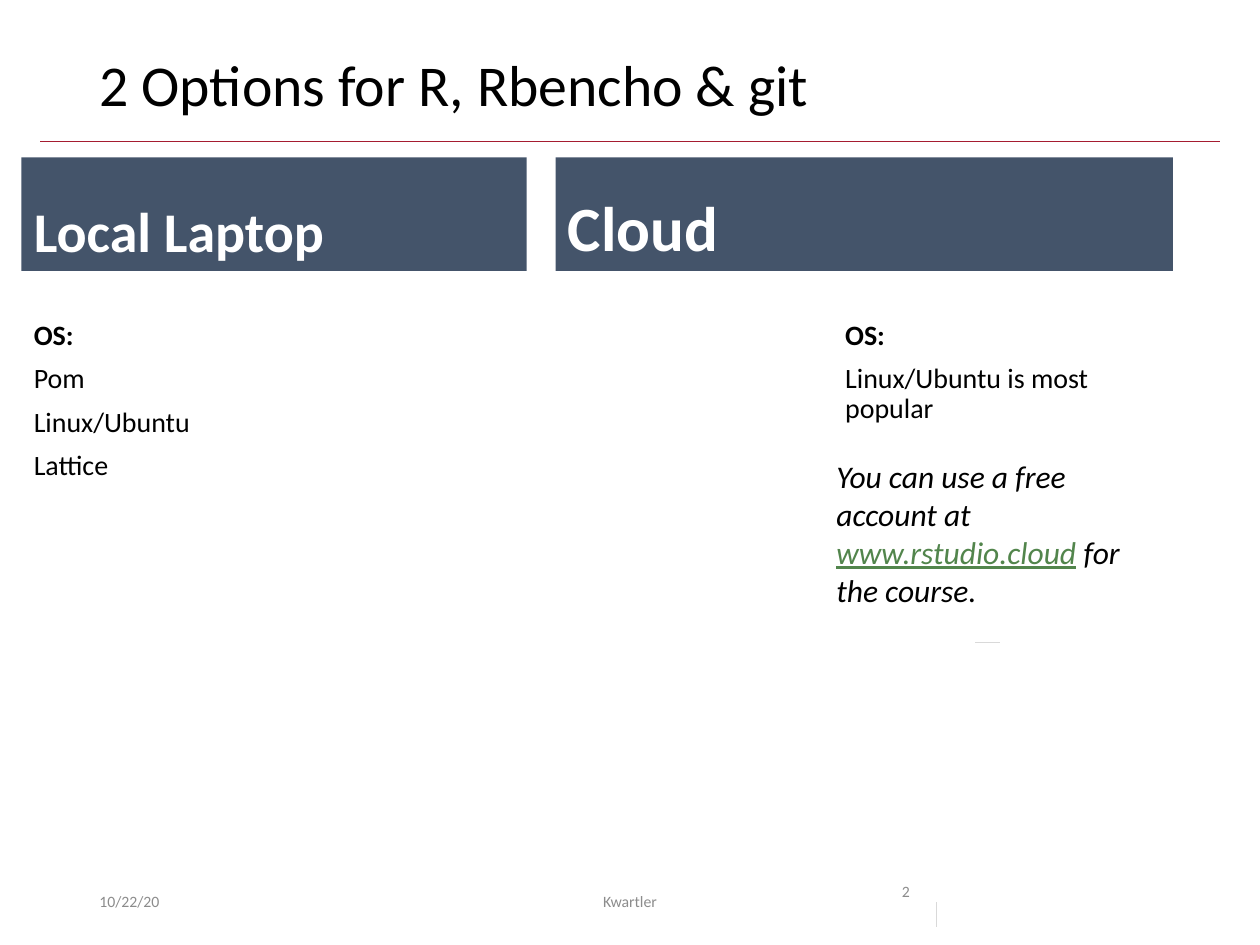
from dataclasses import dataclass

from lxml.etree import SubElement
from pptx import Presentation
from pptx.dml.color import RGBColor as Rgb
from pptx.enum.shapes import MSO_CONNECTOR as Connector, MSO_SHAPE as Shape
from pptx.enum.text import MSO_ANCHOR as Anchor, PP_ALIGN as Align
from pptx.oxml.ns import qn
from pptx.util import Inches, Pt


@dataclass(frozen=True)
class Theme:
    font: str = "Calibri"
    ink: str = "000000"
    white: str = "FFFFFF"
    banner: str = "44546A"
    muted: str = "8C8C8C"
    link: str = "52854C"
    rule: str = "A51C30"
    tick: str = "D9D9D9"
    title: int = 33
    local: int = 32
    cloud: int = 36
    note: int = 18
    body: int = 16
    footer: int = 9


class SlideBuilder:
    def __init__(self, slide, theme):
        self.slide = slide
        self.theme = theme

    def span(self, para, text, size, color, bold=False, italic=False, underline=False):
        span = para.add_run()
        span.text = text
        font = span.font
        font.name, font.size = self.theme.font, Pt(size)
        font.bold, font.italic, font.underline = bold, italic, underline
        font.color.rgb = Rgb.from_string(color)

    def text(self, place, size, color, text=None, anchor=Anchor.TOP, align=Align.LEFT, spacing=1.0):
        box = self.slide.shapes.add_textbox(*map(Inches, place))
        frame = box.text_frame
        frame.word_wrap = True
        frame.vertical_anchor = anchor
        para = frame.paragraphs[0]
        para.alignment = align
        para.line_spacing = spacing
        if text:
            self.span(para, text, size, color)
        return frame

    def banner(self, place, text, size):
        box = self.slide.shapes.add_shape(Shape.RECTANGLE, *map(Inches, place))
        box.shadow.inherit = False
        box.fill.solid()
        box.fill.fore_color.rgb = Rgb.from_string(self.theme.banner)
        box.line.fill.background()
        frame = box.text_frame
        frame.word_wrap = True
        frame.vertical_anchor = Anchor.BOTTOM
        para = frame.paragraphs[0]
        para.alignment = Align.LEFT
        para.line_spacing = 0.9
        self.span(para, text, size, self.theme.white, bold=True)

    def systems(self, place, names):
        theme = self.theme
        frame = self.text(place, theme.body, theme.ink, spacing=0.9)
        self.span(frame.paragraphs[0], "OS:", theme.body, theme.ink, bold=True)
        for name in names:
            para = frame.add_paragraph()
            para.line_spacing = 0.9
            para.space_before = Pt(7.5)
            self.span(para, name, theme.body, theme.ink)

    def note(self, place, before, address, after):
        theme = self.theme
        para = self.text(place, theme.note, theme.ink).paragraphs[0]
        self.span(para, before, theme.note, theme.ink, italic=True)
        self.span(para, address, theme.note, theme.link, italic=True, underline=True)
        self.span(para, after, theme.note, theme.ink, italic=True)

    def line(self, ends, color):
        line = self.slide.shapes.add_connector(Connector.STRAIGHT, *map(Inches, ends))
        line.line.color.rgb = Rgb.from_string(color)
        line.line.width = Pt(0.5)
        SubElement(line._element.spPr, qn("a:effectLst"))


def main():
    deck = Presentation()
    deck.slide_width, deck.slide_height = Inches(10), Inches(7.5)
    theme = Theme()
    page = SlideBuilder(deck.slides.add_slide(deck.slide_layouts[6]), theme)

    page.line((0.32, 1.12, 9.68, 1.12), theme.rule)
    page.text((0.69, 0.4, 8.62, 0.65), theme.title, theme.ink,
              "2 Options for R, Rbencho & git", spacing=0.9)

    page.banner((0.17, 1.25, 4.01, 0.9), "Local Laptop", theme.local)
    page.systems((0.17, 2.5, 2.7, 1.72), ["Pom", "Linux/Ubuntu", "Lattice"])

    page.banner((4.41, 1.25, 4.9, 0.9), "Cloud", theme.cloud)
    page.systems((6.61, 2.5, 2.7, 0.91), ["Linux/Ubuntu is most popular"])
    page.note((6.54, 3.58, 2.74, 1.31), "You can use a free account at ",
              "www.rstudio.cloud", " for the course.")

    footers = [
        (0.69, 2.25, "10/22/20", Anchor.MIDDLE, Align.LEFT),
        (3.31, 3.38, "Kwartler", Anchor.MIDDLE, Align.CENTER),
        (7.06, 0.94, "2", Anchor.TOP, Align.LEFT),
    ]
    for left, width, text, anchor, align in footers:
        page.text((left, 6.95, width, 0.4), theme.footer, theme.muted,
                  text, anchor, align)

    page.line((7.43, 7.16, 7.43, 7.36), theme.tick)
    page.line((7.74, 5.1, 7.94, 5.1), theme.tick)
    deck.save("out.pptx")


if __name__ == "__main__":
    main()
